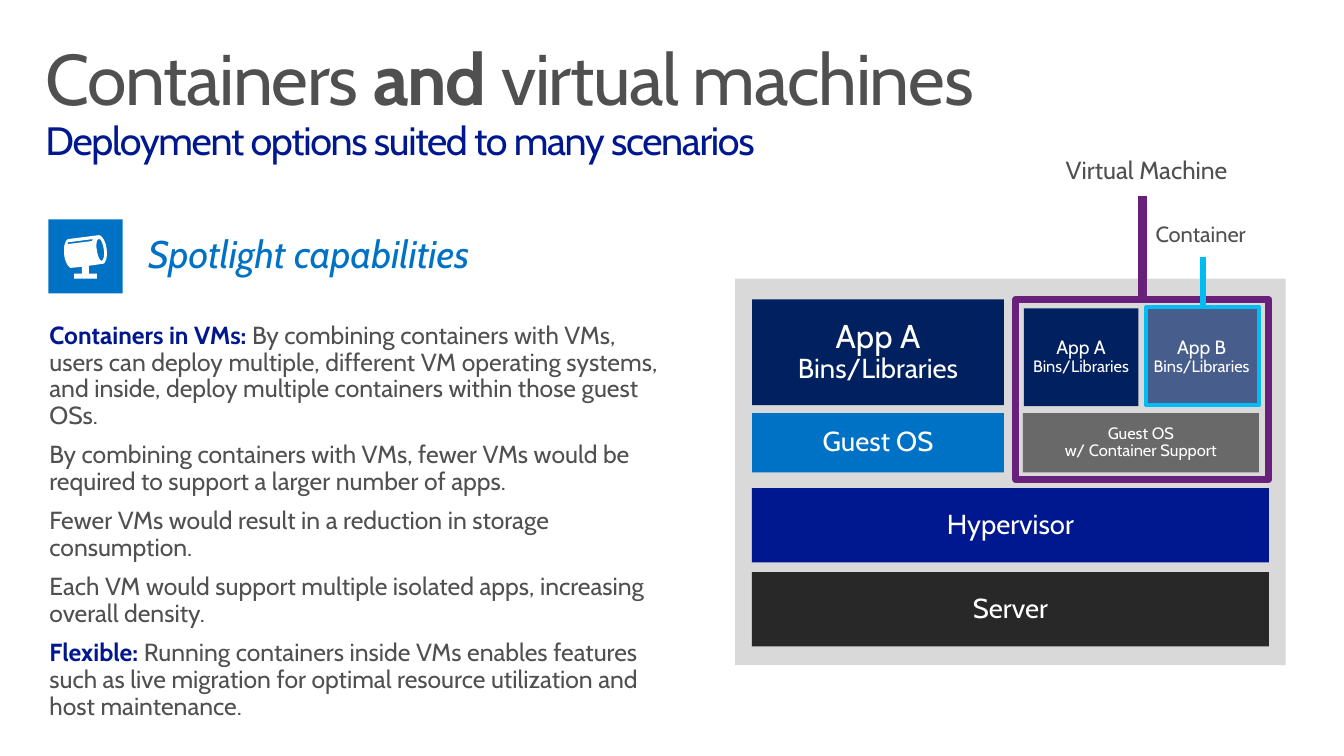
import pptx
import pptx.dml.color
import pptx.enum.shapes
import pptx.enum.text
import pptx.oxml
import pptx.oxml.ns
import pptx.util

Inches = pptx.util.Inches
Pt = pptx.util.Pt
RGBColor = pptx.dml.color.RGBColor
MSO_SHAPE = pptx.enum.shapes.MSO_SHAPE
PP_ALIGN = pptx.enum.text.PP_ALIGN
MSO_ANCHOR = pptx.enum.text.MSO_ANCHOR
qn = pptx.oxml.ns.qn

WHITE = RGBColor(0xFF, 0xFF, 0xFF)
GREY = RGBColor(0x50, 0x50, 0x50)
PANEL = RGBColor(0xD9, 0xD9, 0xD9)
BLACK = RGBColor(0x28, 0x28, 0x28)
OS_GREY = RGBColor(0x69, 0x69, 0x69)
ROYAL = RGBColor(0x00, 0x18, 0x8F)
NAVY = RGBColor(0x00, 0x20, 0x60)
BLUE = RGBColor(0x00, 0x72, 0xC6)
CYAN = RGBColor(0x00, 0xBC, 0xF2)
PURPLE = RGBColor(0x68, 0x21, 0x7A)

INSETS = (0.2, 0.16, 0.2, 0.16)
TIGHT = (0.05, 0.16, 0.05, 0.16)

# Outlines of the spotlight: 2 numbers are a corner, 6 a cubic curve.
LAMP = [
    [(1.08, 2.52), (1.07, 2.44, 1.03, 2.38, 1, 2.38), (0.69, 2.42),
     (0.66, 2.43, 0.64, 2.5, 0.65, 2.58), (0.66, 2.66, 0.7, 2.72, 0.73, 2.71),
     (0.83, 2.7), (0.83, 2.77), (0.75, 2.77), (0.75, 2.82), (0.98, 2.82),
     (0.98, 2.77), (0.9, 2.77), (0.9, 2.69), (1.04, 2.67),
     (1.07, 2.67, 1.09, 2.6, 1.08, 2.52)],
    [(0.93, 2.44), (0.69, 2.47), (0.68, 2.48), (0.69, 2.45), (0.71, 2.45),
     (0.94, 2.42)],
    [(1.03, 2.64), (1.01, 2.64, 0.99, 2.59, 0.98, 2.53),
     (0.97, 2.47, 0.98, 2.42, 1, 2.42), (1.02, 2.41, 1.04, 2.46, 1.05, 2.52),
     (1.06, 2.58, 1.05, 2.63, 1.03, 2.64)],
]


def flatten(outline, steps=8):
    """Turn corners and cubic curves into points in thousandths of an inch."""
    points = [outline[0]]
    for part in outline[1:]:
        if len(part) == 2:
            points.append(part)
            continue
        ctrl = [points[-1], part[:2], part[2:4], part[4:]]
        for i in range(1, steps + 1):
            t = i / steps
            weights = ((1 - t) ** 3, 3 * t * (1 - t) ** 2, 3 * t * t * (1 - t), t ** 3)
            points.append(tuple(sum(w * c[k] for w, c in zip(weights, ctrl)) for k in (0, 1)))
    return [(x * 1000, y * 1000) for x, y in points]


class SlideBuilder:
    font = "Cabin"
    line_spacing = 0.9

    def __init__(self, slide):
        self.slide = slide

    def set_text(self, sp, paragraphs, insets=INSETS, anchor=MSO_ANCHOR.TOP, wrap=True,
                 spacing=None, **para_format):
        """Fill a shape; each run is (text, size, colour, font values), None a line break."""
        tf = sp.text_frame
        frame = dict(zip(("margin_left", "margin_top", "margin_right", "margin_bottom"),
                         map(Inches, insets)))
        frame.update(word_wrap=wrap, vertical_anchor=anchor)
        for name, value in frame.items():
            setattr(tf, name, value)
        for i, runs in enumerate(paragraphs):
            p = tf.add_paragraph() if i else tf.paragraphs[0]
            values = {"line_spacing": self.line_spacing, "alignment": PP_ALIGN.LEFT, **para_format}
            if i == 0:
                values.pop("space_before", None)
            for name, value in values.items():
                setattr(p, name, value)
            for run in runs:
                if run is None:
                    p.add_line_break()
                    continue
                text, size, color, *extra = run
                r = p.add_run()
                r.text = text
                r.font.color.rgb = color
                font = {"name": self.font, "size": Pt(size), **(extra[0] if extra else {})}
                for name, value in font.items():
                    setattr(r.font, name, value)
                if spacing:
                    r._r.get_or_add_rPr().set("spc", str(spacing))

    def text(self, box, paragraphs, **kw):
        sp = self.slide.shapes.add_textbox(*map(Inches, box))
        self.set_text(sp, paragraphs, **kw)

    def paint(self, sp, fill=None, line=None, width=1.0):
        sp.shadow.inherit = False
        if fill is None:
            sp.fill.background()
        else:
            sp.fill.solid()
            sp.fill.fore_color.rgb = fill
        if line is None:
            sp.line.fill.background()
        else:
            sp.line.color.rgb = line
            sp.line.width = Pt(width)

    def shape(self, box, fill=None, line=None, width=1.0, kind=MSO_SHAPE.RECTANGLE):
        sp = self.slide.shapes.add_shape(kind, *map(Inches, box))
        self.paint(sp, fill, line, width)
        return sp

    def block(self, box, fill, lines, insets=INSETS, **kw):
        """Draw a filled box with centred white lines of (text, size)."""
        sp = self.shape(box, fill, **kw)
        runs = []
        for text, size in lines:
            runs += [None] if runs else []
            runs.append((text, size, WHITE))
        self.set_text(sp, [runs], insets, MSO_ANCHOR.MIDDLE, alignment=PP_ALIGN.CENTER)

    def outline(self, outlines, fill):
        first, *rest = map(flatten, outlines)
        fb = self.slide.shapes.build_freeform(*first[0], scale=Inches(1) / 1000)
        fb.add_line_segments(first[1:], close=True)
        for points in rest:
            fb.move_to(*points[0])
            fb.add_line_segments(points[1:], close=True)
        self.paint(fb.convert_to_shape(), fill)

    def pointer(self, x, top, target, color, width):
        """Drop a line from a label to the middle of the target's top side."""
        cx = self.slide.shapes.add_connector(
            pptx.enum.shapes.MSO_CONNECTOR.STRAIGHT, Inches(x), Inches(top), Inches(x), target.top)
        cx.end_connect(target, 0)
        cx.line.color.rgb = color
        cx.line.width = Pt(width)
        cx._element.spPr.append(pptx.oxml.parse_xml(
            '<a:effectLst xmlns:a="http://schemas.openxmlformats.org/drawingml/2006/main"/>'))


def main():
    prs = pptx.Presentation()
    prs.slide_width, prs.slide_height = Inches(13.6), Inches(7.65)
    s = SlideBuilder(prs.slides.add_slide(prs.slide_layouts[6]))

    s.shape((7.44, 2.82, 5.57, 3.91), PANEL)
    for top, label, fill in ((4.94, "Hypervisor", ROYAL), (5.79, "Server", BLACK)):
        s.block((7.61, top, 5.23, 0.75), fill, [(label, 20)])

    s.text((0.3, 0.34, 13.18, 0.98), [[
        ("Containers ", 52.2, GREY), ("and", 52.2, GREY, {"bold": True}),
        (" virtual machines", 52.2, GREY), None,
        ("Deployment options suited to many scenarios", 28.8, ROYAL),
    ]], insets=(0.16, 0.1, 0.16, 0.1), spacing=-100)

    capabilities = [
        ("Containers in VMs: ", "By combining containers with VMs, users can deploy multiple, "
         "different VM operating systems, and inside, deploy multiple containers within those "
         "guest OSs."),
        ("", "By combining containers with VMs, fewer VMs would be required to support a larger "
         "number of apps."),
        ("", "Fewer VMs would result in a reduction in storage consumption."),
        ("", "Each VM would support multiple isolated apps, increasing overall density."),
        ("Flexible: ", "Running containers inside VMs enables features such as live migration "
         "for optimal resource utilization and host maintenance."),
    ]
    s.text((0.3, 3.07, 6.65, 4.19),
           [([(lead, 18, ROYAL, {"bold": True})] if lead else []) + [(body, 18, GREY)]
            for lead, body in capabilities],
           insets=(0.2, 0.2, 0.2, 0.1), space_before=Pt(3.1), space_after=Pt(6.1))

    heading = s.shape((0, 2.22, 6.9, 0.76), kind=MSO_SHAPE.PENTAGON)
    s.set_text(heading, [[("Spotlight capabilities", 28, BLUE, {"italic": True})]],
               insets=(1.5, 0.16, 0.2, 0.16))
    s.shape((0.49, 2.22, 0.75, 0.75), BLUE)
    s.outline(LAMP, WHITE)

    s.text((10.47, 1.47, 2.15, 0.6), [[("Virtual Machine", 18, GREY)]],
           wrap=False, alignment=PP_ALIGN.RIGHT)
    s.block((7.61, 4.18, 2.55, 0.6), BLUE, [("Guest OS", 20)])
    vm_frame = s.shape((10.28, 3.03, 2.56, 1.82), line=PURPLE, width=5.25)
    s.block((10.36, 3.12, 1.16, 0.99), NAVY, [("App A", 14), ("Bins/Libraries", 12)], TIGHT)
    s.block((11.58, 3.12, 1.16, 0.98), NAVY, [("App B", 14), ("Bins/Libraries", 12)], TIGHT,
            line=CYAN, width=0.75)
    s.block((10.35, 4.18, 2.39, 0.6), OS_GREY, [("Guest OS", 12), ("w/ Container Support", 12)])

    container = s.shape((11.6, 3.11, 1.14, 0.99), WHITE, CYAN, 3)
    tint = container._element.spPr.find(qn("a:solidFill"))[0]
    tint.append(tint.makeelement(qn("a:alpha"), {"val": "28000"}))
    s.text((11.46, 2.14, 1.38, 0.57), [[("Container", 16, GREY)]],
           wrap=False, alignment=PP_ALIGN.CENTER)
    s.block((7.61, 3.03, 2.55, 1.07), NAVY, [("App A", 24), ("Bins/Libraries", 20)])

    s.pointer(11.56, 1.98, vm_frame, PURPLE, 6.25)
    s.pointer(12.17, 2.6, container, CYAN, 4.25)
    prs.save("out.pptx")


if __name__ == "__main__":
    main()
